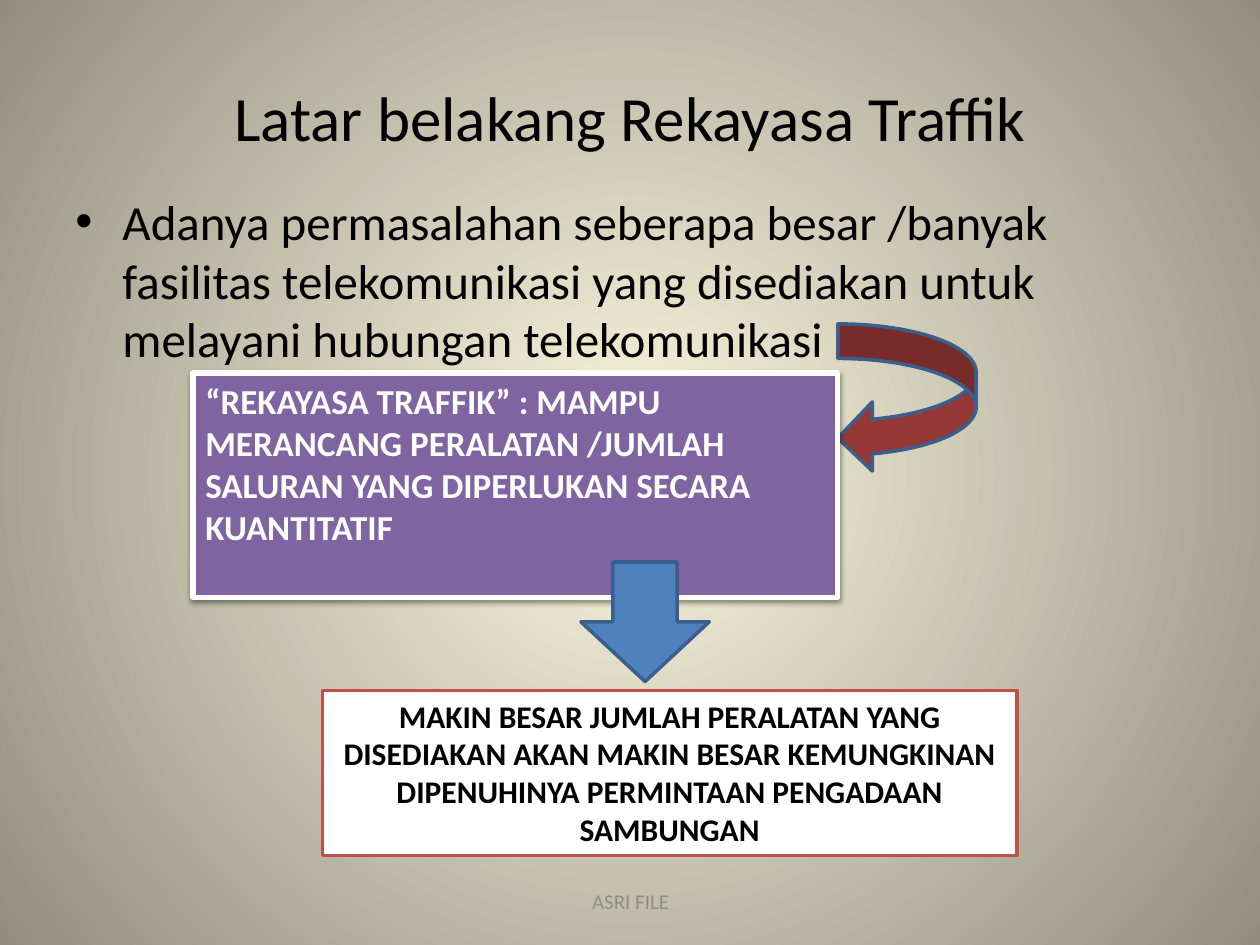
from lxml import etree
from pptx import Presentation
from pptx import util as u
from pptx.dml.color import RGBColor
from pptx.enum import shapes, text
from pptx.oxml import parse_xml
from pptx.oxml.ns import nsdecls, qn

BLACK = RGBColor(0x00, 0x00, 0x00)
WHITE = RGBColor(0xFF, 0xFF, 0xFF)
GREY = RGBColor(0x8C, 0x8C, 0x8C)
CREAM = RGBColor(0xFC, 0xF7, 0xDD)
STONE = RGBColor(0x91, 0x8E, 0x81)
PURPLE = RGBColor(0x80, 0x64, 0xA2)
RED = RGBColor(0xC0, 0x50, 0x4D)
DARK_RED = RGBColor(0x95, 0x37, 0x35)
BLUE = RGBColor(0x4F, 0x81, 0xBD)
DARK_BLUE = RGBColor(0x3A, 0x5F, 0x8C)

FONT = "Calibri"
LEFT, CENTER = text.PP_ALIGN.LEFT, text.PP_ALIGN.CENTER
TOP, MIDDLE = text.MSO_ANCHOR.TOP, text.MSO_ANCHOR.MIDDLE
KIND = shapes.MSO_SHAPE

# Content: boxes are left, top, width, height in centimetres
TEXTS = {
    "title": dict(words="Latar belakang Rekayasa Traffik",
                  box=(1.27, 0.76, 22.86, 3.18), size=36, align=CENTER, anchor=MIDDLE),
    "body": dict(words="Adanya permasalahan seberapa besar /banyak fasilitas telekomunikasi "
                       "yang disediakan untuk melayani hubungan telekomunikasi",
                 box=(1.27, 3.73, 22.86, 12.57), size=28),
    "footer": dict(words="ASRI FILE", box=(8.69, 17.65, 8.05, 1.02),
                   size=12, color=GREY, align=CENTER, anchor=MIDDLE),
}
SOLUTION = ("“REKAYASA TRAFFIK” : MAMPU MERANCANG PERALATAN /JUMLAH SALURAN "
            "YANG DIPERLUKAN SECARA KUANTITATIF")
RESULT = ("MAKIN BESAR JUMLAH PERALATAN YANG DISEDIAKAN AKAN MAKIN BESAR KEMUNGKINAN "
          "DIPENUHINYA PERMINTAAN PENGADAAN SAMBUNGAN")
# Flow steps: kind, box, fill, line colour, line width, text settings
FLOW = [
    (KIND.CURVED_LEFT_ARROW, (16.89, 6.53, 2.79, 3), DARK_RED, DARK_BLUE, 2, None),
    (KIND.RECTANGLE, (3.89, 7.52, 13, 4.52), PURPLE, WHITE, 3,
     dict(words=SOLUTION, size=20, color=WHITE, bold=True)),
    (KIND.DOWN_ARROW, (11.71, 11.33, 2.59, 2.41), BLUE, DARK_BLUE, 2, None),
    (KIND.RECTANGLE, (6.5, 13.92, 14, 3.33), WHITE, RED, 2,
     dict(words=RESULT, size=18, bold=True, align=CENTER)),
]


def write(shape, words, size, color=BLACK, bold=False, align=LEFT, anchor=TOP):
    frame = shape.text_frame
    frame.word_wrap = True
    frame.vertical_anchor = anchor
    paragraph = frame.paragraphs[0]
    paragraph.text = words
    paragraph.alignment = align
    font = paragraph.font
    font.name, font.size, font.bold = FONT, u.Pt(size), bold
    font.color.rgb = color
    return paragraph


def add_bullet(paragraph):
    paragraph.space_before = u.Pt(5.6)
    properties = paragraph._p.get_or_add_pPr()
    indent = u.Cm(0.95)
    properties.set("marL", str(indent))
    properties.set("indent", str(-indent))
    bullet_font = parse_xml(f'<a:buFont {nsdecls("a")} typeface="Arial"/>')
    bullet = parse_xml(f'<a:buChar {nsdecls("a")} char="•"/>')
    properties.find(qn("a:defRPr")).addprevious(bullet_font)
    bullet_font.addnext(bullet)


def add_shadow(shape):
    effects = shape._element.spPr.find(qn("a:effectLst"))
    effects.append(parse_xml(
        f'<a:outerShdw {nsdecls("a")} blurRad="{u.Pt(3.1)}" dist="{u.Pt(1.6)}" '
        'dir="5400000" rotWithShape="0"><a:srgbClr val="000000">'
        '<a:alpha val="38000"/></a:srgbClr></a:outerShdw>'))


def paint_background(slide):
    fill = slide.background.fill
    fill.gradient()
    for stop, position, color in zip(fill.gradient_stops, (0, 1), (CREAM, STONE)):
        stop.position = position
        stop.color.rgb = color
    gradient = slide.element.find(".//" + qn("a:gradFill"))
    gradient.remove(gradient.find(qn("a:lin")))
    circle = etree.SubElement(gradient, qn("a:path"), path="circle")
    etree.SubElement(circle, qn("a:fillToRect"),
                     {side: "50000" for side in "ltrb"})


def main():
    presentation = Presentation()
    presentation.slide_width, presentation.slide_height = u.Cm(25.4), u.Cm(19.05)
    slide = presentation.slides.add_slide(presentation.slide_layouts[6])
    paint_background(slide)

    # Title, bullet and footer
    for name, settings in TEXTS.items():
        style = {key: value for key, value in settings.items() if key != "box"}
        box = slide.shapes.add_textbox(*map(u.Cm, settings["box"]))
        paragraph = write(box, **style)
        if name == "body":
            add_bullet(paragraph)

    # Flow from problem to result
    for kind, box, fill, line, width, label in FLOW:
        shape = slide.shapes.add_shape(kind, *map(u.Cm, box))
        shape.shadow.inherit = False
        shape.fill.solid()
        shape.fill.fore_color.rgb = fill
        shape.line.color.rgb = line
        shape.line.width = u.Pt(width)
        if label:
            write(shape, **label)
        if fill == PURPLE:
            add_shadow(shape)

    presentation.save("out.pptx")


if __name__ == "__main__":
    main()
